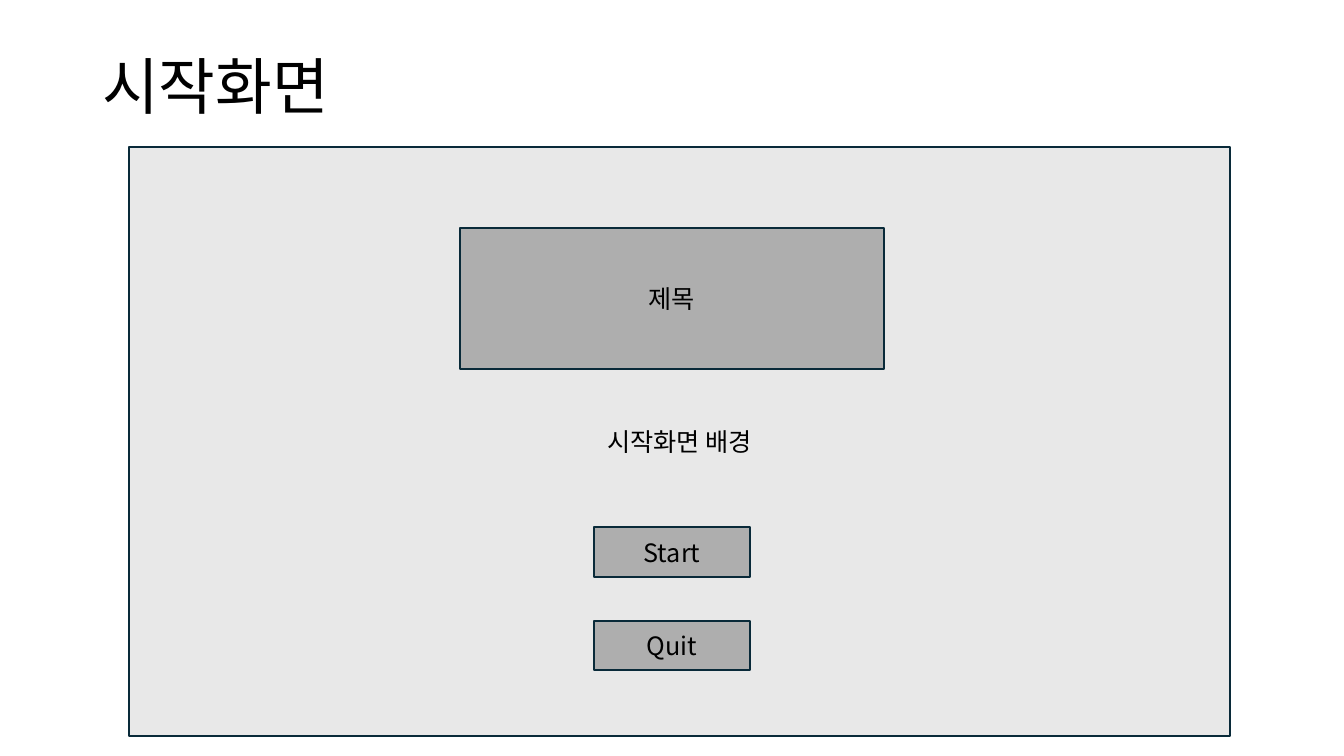
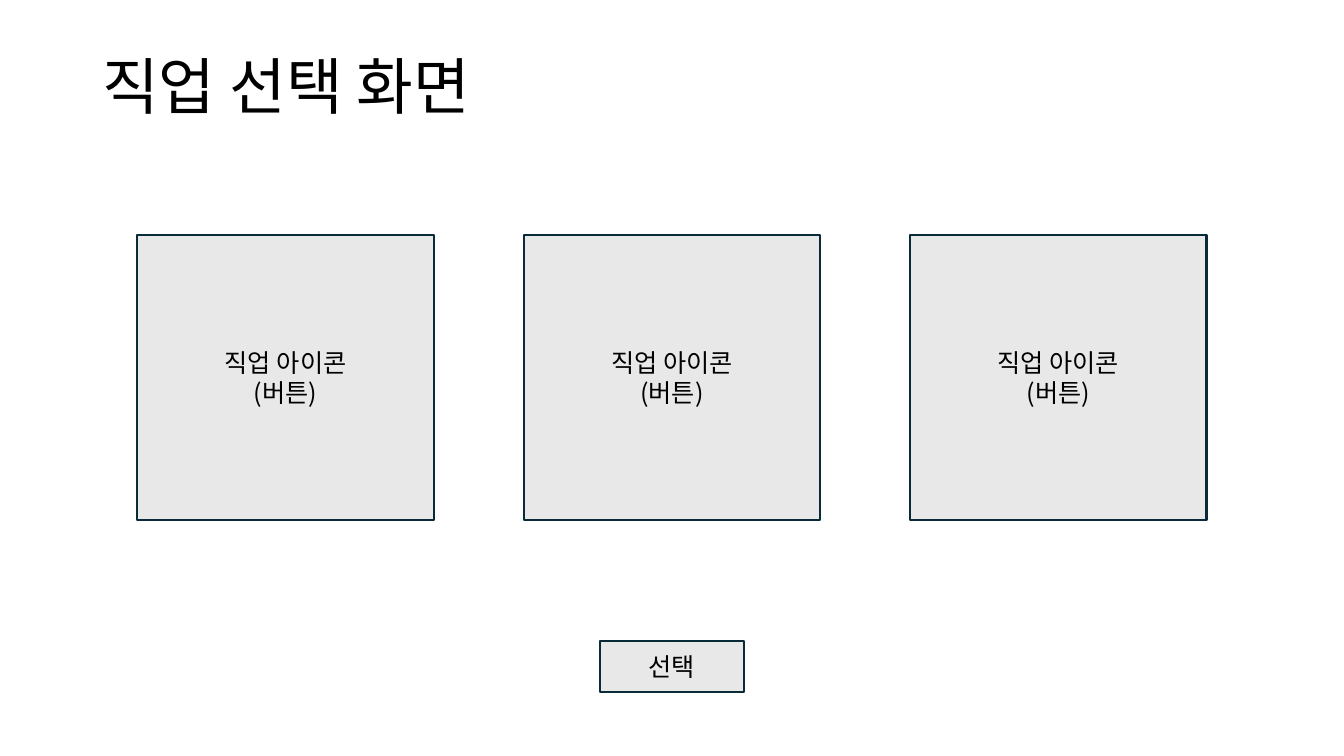
from dataclasses import dataclass

from lxml import etree
from pptx import Presentation
from pptx.dml.color import RGBColor
from pptx.enum.shapes import MSO_SHAPE
from pptx.enum.text import MSO_ANCHOR, PP_ALIGN
from pptx.oxml.ns import qn
from pptx.slide import Slide
from pptx.text.text import TextFrame
from pptx.util import Pt

RECTANGLE = MSO_SHAPE.RECTANGLE
MIDDLE = MSO_ANCHOR.MIDDLE
LEFT, CENTER = PP_ALIGN.LEFT, PP_ALIGN.CENTER

SLIDE_WIDTH, SLIDE_HEIGHT = 960, 540
FONT = "Noto Sans CJK KR"
BLACK = "000000"
OUTLINE = "092A39"
LIGHT_GRAY = "E8E8E8"
MID_GRAY = "AEAEAE"

TITLE_FORMAT = {"alignment": LEFT, "line_spacing": 0.9}
LABEL_FORMAT = {"alignment": CENTER}


@dataclass(frozen=True)
class Panel:
    label: str
    left: float
    top: float
    width: float
    height: float
    fill: str = LIGHT_GRAY


def color(hex_value: str) -> RGBColor:
    return RGBColor.from_string(hex_value)


def centered(label: str, top: float, width: float, height: float,
             fill: str = LIGHT_GRAY, offset: float = 0) -> Panel:
    """Place a panel around the slide's vertical axis, shifted by offset."""
    return Panel(label, (SLIDE_WIDTH - width) / 2 + offset, top, width, height, fill)


def write_text(frame: TextFrame, text: str, size: float, paragraph_format: dict) -> None:
    frame.word_wrap = True
    frame.vertical_anchor = MIDDLE
    frame.text = text
    for paragraph in frame.paragraphs:
        for name, value in paragraph_format.items():
            setattr(paragraph, name, value)
        for run in paragraph.runs:
            for name, value in {"name": FONT, "size": Pt(size)}.items():
                setattr(run.font, name, value)
            run.font.color.rgb = color(BLACK)
            east_asian = etree.SubElement(run.font._element, qn("a:ea"))
            east_asian.set("typeface", FONT)


def add_title(slide: Slide, text: str) -> None:
    title = slide.shapes.add_textbox(Pt(66), Pt(28.8), Pt(828), Pt(69.8))
    write_text(title.text_frame, text, 44, TITLE_FORMAT)


def add_panel(slide: Slide, panel: Panel) -> None:
    box = slide.shapes.add_shape(
        RECTANGLE, Pt(panel.left), Pt(panel.top), Pt(panel.width), Pt(panel.height))
    box.shadow.inherit = False
    box.fill.solid()
    box.fill.fore_color.rgb = color(panel.fill)
    box.line.color.rgb = color(OUTLINE)
    box.line.width = Pt(1.5)
    write_text(box.text_frame, panel.label, 18, LABEL_FORMAT)


START_SCREEN = [
    Panel("시작화면 배경", 92.2, 105.1, 786.2, 420.5),
    centered("제목", 162.7, 302.4, 100.8, MID_GRAY),
    *(centered(label, 376.6 + 67 * row, 111.6, 35.3, MID_GRAY)
      for row, label in enumerate(["Start", "Quit"])),
]
JOB_SCREEN = [
    *(centered("직업 아이콘\n(버튼)", 167.8, 211.7, 203.8, offset=276 * column)
      for column in (-1, 0, 1)),
    centered("선택", 457.9, 103, 36.7),
]
SCREENS = {"시작화면": START_SCREEN, "직업 선택 화면": JOB_SCREEN}


def main() -> None:
    deck = Presentation()
    deck.slide_width, deck.slide_height = Pt(SLIDE_WIDTH), Pt(SLIDE_HEIGHT)
    blank_layout = deck.slide_layouts[6]
    for title, panels in SCREENS.items():
        slide = deck.slides.add_slide(blank_layout)
        add_title(slide, title)
        for panel in panels:
            add_panel(slide, panel)
    deck.save("out.pptx")


if __name__ == "__main__":
    main()
